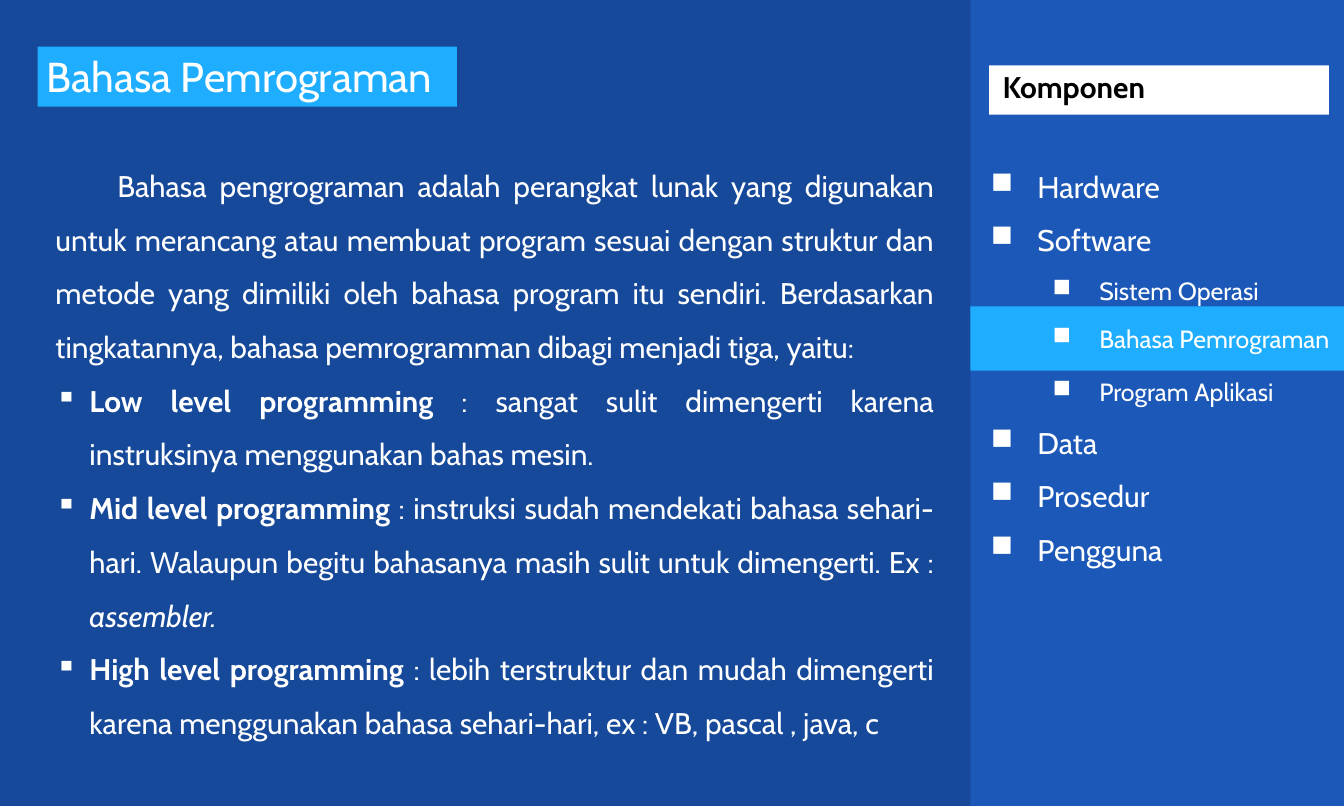
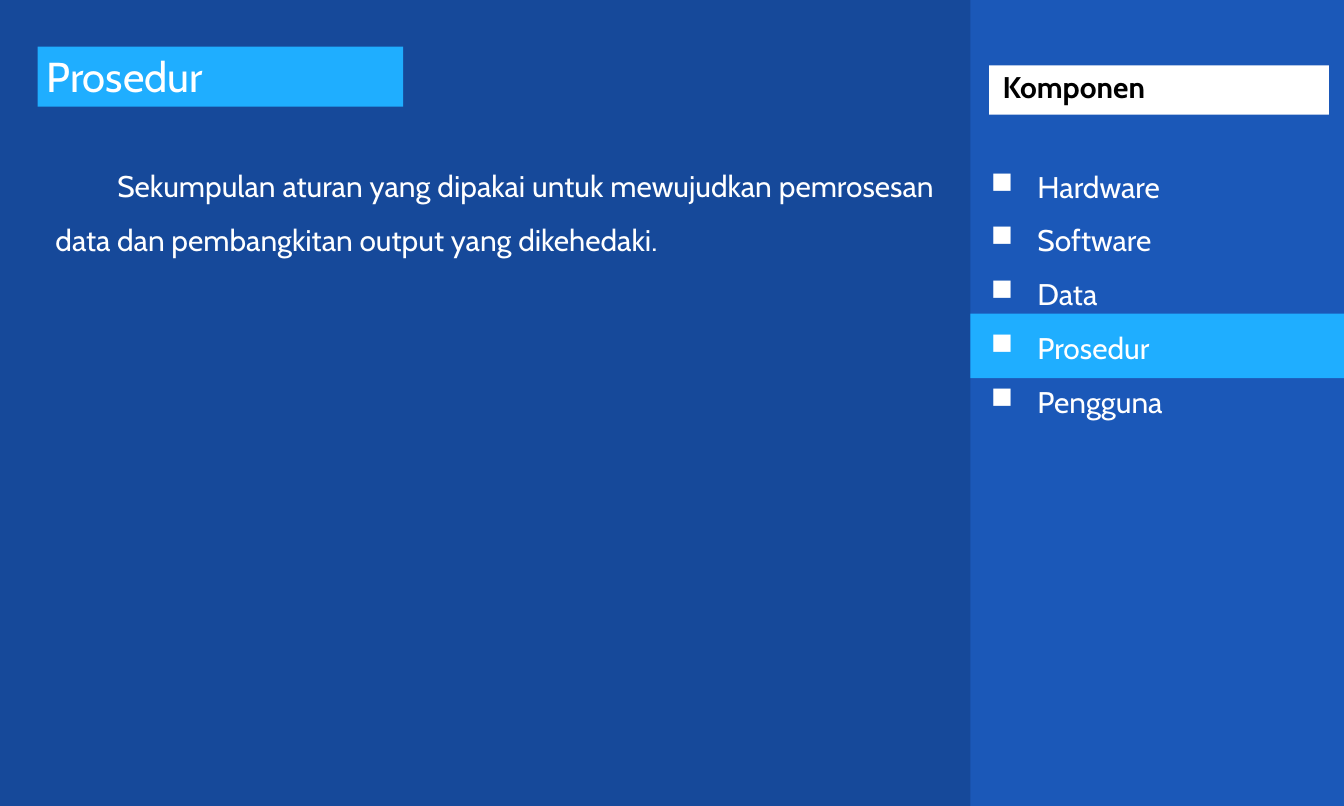
import pptx
import pptx.dml.color
import pptx.enum.shapes
import pptx.enum.text
import pptx.oxml.ns
import pptx.util
from lxml import etree

WIDE, HIGH = 15, 9
FONT = "Cabin"
HUES = {
    "back": "16499A",
    "side": "1B58B8",
    "mark": "1FAEFF",
    "white": "FFFFFF",
    "black": "000000",
}
SIDE = 72.2, 27.8
LEFT = pptx.enum.text.PP_ALIGN.LEFT
EVEN = pptx.enum.text.PP_ALIGN.JUSTIFY
TOP = pptx.enum.text.MSO_ANCHOR.TOP
MID = pptx.enum.text.MSO_ANCHOR.MIDDLE


def hue(name):
    """Return a named colour."""
    return pptx.dml.color.RGBColor.from_string(HUES[name])


def place(left, top, width, height):
    """Turn percentages of the slide into lengths."""
    spans = zip((left, top, width, height), (WIDE, HIGH) * 2)
    return [pptx.util.Inches(part * full / 100) for part, full in spans]


def band(slide, area, fill):
    """Draw a plain filled rectangle and return it."""
    kind = pptx.enum.shapes.MSO_SHAPE.RECTANGLE
    shape = slide.shapes.add_shape(kind, *place(*area))
    shape.shadow.inherit = False
    shape.fill.solid()
    shape.fill.fore_color.rgb = hue(fill)
    shape.line.fill.background()
    return shape


def frame(shape, anchor=TOP):
    """Prepare the text frame of a shape."""
    text = shape.text_frame
    text.word_wrap = True
    text.vertical_anchor = anchor
    return text


def block(slide, area):
    """Add a text box that grows with its text and return its frame."""
    text = frame(slide.shapes.add_textbox(*place(*area)))
    text.auto_size = pptx.enum.text.MSO_AUTO_SIZE.SHAPE_TO_FIT_TEXT
    return text


def write(para, words, size=24, tone="white", style=""):
    """Add one run, with style letters b and i."""
    run = para.add_run()
    run.text = words
    font = run.font
    font.name, font.size = FONT, pptx.util.Pt(size)
    font.bold, font.italic = "b" in style, "i" in style
    font.color.rgb = hue(tone)


def line(text, first, align=LEFT, space=None, before=None):
    """Return the first paragraph or a new one, with its spacing."""
    para = text.paragraphs[0] if first else text.add_paragraph()
    para.alignment = align
    if space:
        para.line_spacing = space
    if before is not None:
        para.space_before = pptx.util.Pt(before)
    return para


def indent(para, margin, hang, sign=None):
    """Set the indents in inches and an optional bullet."""
    props = para._p.get_or_add_pPr()
    props.set("marL", str(pptx.util.Inches(margin)))
    props.set("indent", str(pptx.util.Inches(hang)))
    if sign:
        tag = pptx.oxml.ns.qn("a:buChar")
        etree.SubElement(props, tag).set("char", sign)


def title(slide, words, width):
    """Add the title on its bright band."""
    text = frame(band(slide, (2.8, 5.78, width, 7.44), "mark"))
    write(line(text, True), words, 33.6)


def body(slide, intro, points, height):
    """Add the justified introduction and its bulleted points."""
    text = block(slide, (3.47, 18, 66.67, height))
    para = line(text, True, EVEN, 1.5)
    indent(para, 0, 0.69)
    write(para, intro)
    for runs in points:
        para = line(text, False, EVEN, 1.5)
        indent(para, 0.38, -0.38, "▪")
        for words, style in runs:
            write(para, words, style=style)


def label(slide):
    """Add the heading of the side panel."""
    text = frame(band(slide, (73.6, 8.11, 25.27, 6.11), "white"), MID)
    text.margin_top = text.margin_right = text.margin_bottom = 0
    text.margin_left = pptx.util.Inches(0.15)
    write(line(text, True, space=0.8), "Komponen", tone="black", style="b")


def menu(slide, items, row, height):
    """Add the side list with its highlighted row."""
    band(slide, (SIDE[0], row, SIDE[1], 8), "mark")
    text = block(slide, (71.07, 20.33, 28.93, height))
    for rank, (words, level, before) in enumerate(items):
        para = line(text, rank == 0, before=before)
        para.level = level
        indent(para, (0.82, 1.51)[level], -0.52, "■")
        write(para, words, (24, 20)[level])


def page(deck, head, width, intro, points, tall, items, row, height):
    """Build one slide with its text and side panel."""
    slide = deck.slides.add_slide(deck.slide_layouts[6])
    slide.background.fill.solid()
    slide.background.fill.fore_color.rgb = hue("back")
    band(slide, (SIDE[0], 0, SIDE[1], 100), "side")
    title(slide, head, width)
    body(slide, intro, points, tall)
    label(slide)
    menu(slide, items, row, height)


def main():
    """Build and save the deck."""
    deck = pptx.Presentation()
    deck.slide_width = pptx.util.Inches(WIDE)
    deck.slide_height = pptx.util.Inches(HIGH)

    names = "Hardware", "Software", "Data", "Prosedur", "Pengguna"
    parts = [(name, 0, 14.4) for name in names]
    soft = [
        ("Sistem Operasi", 1, 14.4),
        ("Bahasa Pemrograman", 1, 14.4),
        ("Program Aplikasi", 1, 18.5),
    ]
    points = [
        [("Low level programming ", "b"),
         (": sangat sulit dimengerti karena instruksinya menggunakan "
          "bahas mesin.", "")],
        [("Mid level programming ", "b"),
         (": instruksi sudah mendekati bahasa sehari-hari. Walaupun begitu "
          "bahasanya masih sulit untuk dimengerti. Ex : ", ""),
         ("assembler.", "i")],
        [("High level programming ", "b"),
         (": lebih terstruktur dan mudah dimengerti karena menggunakan "
          "bahasa sehari-hari, ex : VB, pascal , java, c", "")],
    ]
    page(deck, "Bahasa Pemrograman", 31.2,
         "Bahasa pengrograman adalah perangkat lunak yang digunakan untuk "
         "merancang atau membuat program sesuai dengan struktur dan metode "
         "yang dimiliki oleh bahasa program itu sendiri. Berdasarkan "
         "tingkatannya, bahasa pemrogramman dibagi menjadi tiga, yaitu:",
         points, 75.2, parts[:2] + soft + parts[2:], 38, 50.8)
    page(deck, "Prosedur", 27.2,
         "Sekumpulan aturan yang dipakai untuk mewujudkan pemrosesan data "
         "dan pembangkitan output yang dikehedaki.",
         [], 13.8, parts, 38.9, 32.3)
    deck.save("out.pptx")


if __name__ == "__main__":
    main()
